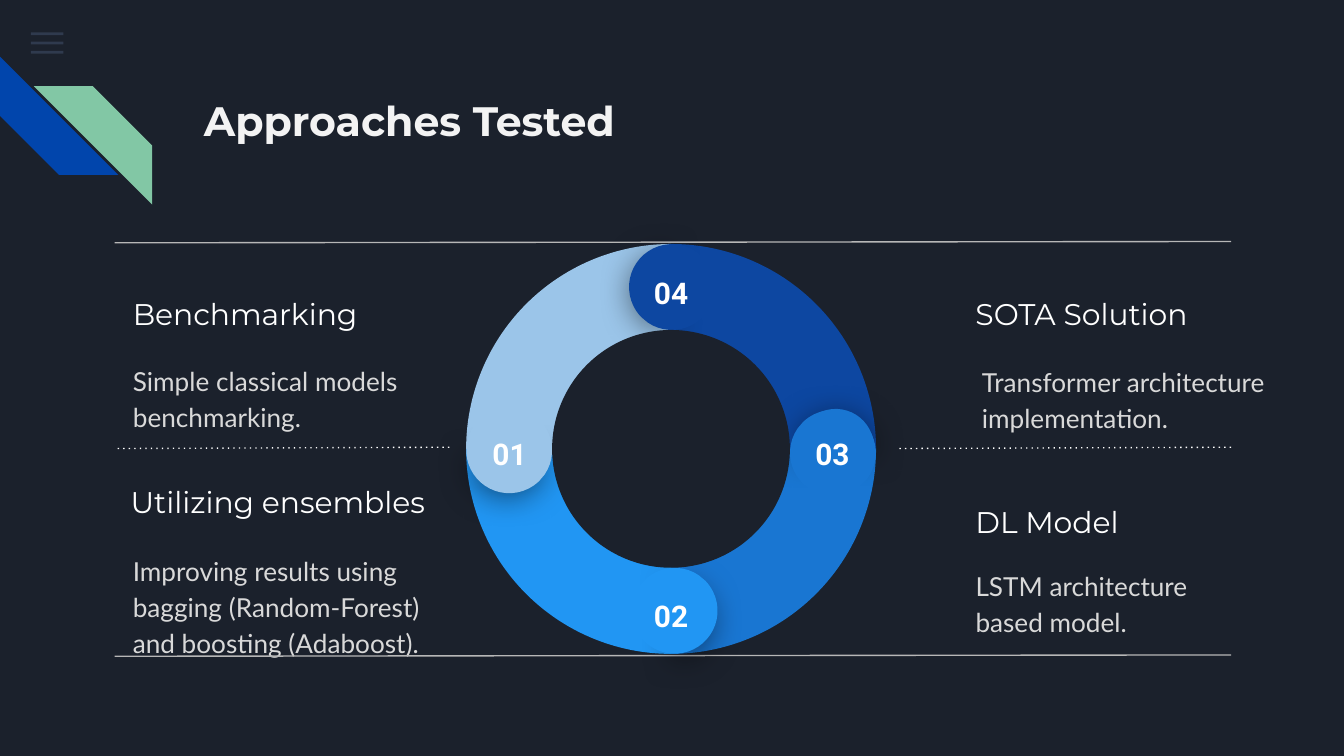
import math

from lxml import etree
from pptx import Presentation
from pptx import util as u
from pptx.dml.color import RGBColor
from pptx.enum import shapes, text
from pptx.oxml.ns import qn

COLOURS = {
    "night": "1B212C", "menu": "55688B", "royal": "0145AC", "mint": "82C7A5",
    "title": "F3F3F3", "white": "FFFFFF", "body": "D9D9D9", "rule": "B7B7B7",
    "pale": "9BC5E9", "bright": "2196F3", "medium": "1976D2", "navy": "0D47A1",
    "black": "000000",
}
KIND = shapes.MSO_SHAPE
CENTRE_X, CENTRE_Y = 359.5, 240.5


def colour(name):
    return RGBColor.from_string(COLOURS[name])


def centred(x, y, width, height):
    return x - width / 2, y - height / 2, width, height


class SlideBuilder:
    inset = 7.2

    def __init__(self, page):
        self.page = page
        page.background.fill.solid()
        page.background.fill.fore_color.rgb = colour("night")

    def shape(self, kind, place, fill, rotation=0, adjust=(), flip=False):
        shape = self.page.shapes.add_shape(kind, *map(u.Pt, place))
        shape.shadow.inherit = False
        shape.fill.solid()
        shape.fill.fore_color.rgb = colour(fill)
        shape.line.fill.background()
        shape.rotation = rotation % 360
        for index, value in enumerate(adjust):
            shape.adjustments[index] = value
        if flip:
            shape._element.spPr.find(qn("a:xfrm")).set("flipH", "1")
        return shape

    def fade(self, shape, percent):
        tint = shape._element.spPr.find(qn("a:solidFill"))[0]
        etree.SubElement(tint, qn("a:alpha"), val=str(percent * 1000))

    def cast_shadow(self, shape, percent, blur, distance):
        effects = shape._element.spPr.find(qn("a:effectLst"))
        shadow = etree.SubElement(
            effects, qn("a:outerShdw"), blurRad=str(u.Pt(blur)),
            dist=str(u.Pt(distance)), dir="5400000", algn="bl", rotWithShape="0")
        tint = etree.SubElement(shadow, qn("a:srgbClr"), val=COLOURS["black"])
        etree.SubElement(tint, qn("a:alpha"), val=str(percent * 1000))

    def line(self, start, end, tint, dotted=False):
        line = self.page.shapes.add_connector(
            shapes.MSO_CONNECTOR.STRAIGHT, *map(u.Pt, start + end))
        line.line.width = u.Pt(0.75)
        line.line.color.rgb = colour(tint)
        properties = line._element.spPr
        if dotted:
            outline = properties.find(qn("a:ln"))
            etree.SubElement(outline, qn("a:prstDash"), val="dot")
        etree.SubElement(properties, qn("a:effectLst"))

    def text(self, words, place, font, size, tint, bold=False,
             anchor=text.MSO_ANCHOR.TOP, align=text.PP_ALIGN.LEFT):
        box = self.page.shapes.add_textbox(*map(u.Pt, place))
        frame = box.text_frame
        frame.word_wrap = True
        frame.vertical_anchor = anchor
        frame.margin_left = frame.margin_right = u.Pt(self.inset)
        frame.margin_top = frame.margin_bottom = u.Pt(self.inset)
        frame.text = words
        para = frame.paragraphs[0]
        para.alignment = align
        for span in para.runs:
            span.font.name = font
            span.font.size = u.Pt(size)
            span.font.bold = bold
            span.font.color.rgb = colour(tint)
        return para

    def heading(self, words, left, top, width):
        self.text(words, (left, top, width, 35.3), "Montserrat", 16, "white",
                  anchor=text.MSO_ANCHOR.MIDDLE)

    def body(self, words, left, top, width):
        para = self.text(words, (left, top, width, 54.7), "Lato", 14, "body",
                         anchor=text.MSO_ANCHOR.MIDDLE)
        para.line_spacing = 1.15
        para.space_after = u.Pt(16)

    def ring_cap(self, number, fill, turn, shift):
        angle = math.radians(turn)

        def spot(radius, offset):
            return (CENTRE_X - radius * math.cos(angle) - offset * math.sin(angle),
                    CENTRE_Y - radius * math.sin(angle) + offset * math.cos(angle))

        under = self.shape(KIND.PIE, centred(*spot(88.2, 1), 41, 41), fill,
                           turn + 39.5, (189.54, 83.81))
        self.cast_shadow(under, 55, 18, 4)
        self.shape(KIND.CHORD, centred(*spot(86.7, shift), 46, 46), fill,
                   turn + 4.1, (25.01, 18.12))
        x, y = spot(86.5, 0)
        self.text(number, centred(x, y - 3.8, 40.3, 20.9), "Roboto", 16, "white",
                  bold=True, align=text.PP_ALIGN.CENTER)


def main():
    deck = Presentation()
    deck.slide_width, deck.slide_height = u.Pt(720), u.Pt(405)
    slide = SlideBuilder(deck.slides.add_slide(deck.slide_layouts[6]))

    for row in range(3):
        bar = slide.shape(KIND.RECTANGLE, (16.6, 17.4 + 4.95 * row, 17.4, 1.5), "menu")
        slide.fade(bar, 36)
    slide.shape(KIND.DIAGONAL_STRIPE, (0, 30.3, 63.4, 63.4), "royal", 270, (0.5,))
    slide.shape(KIND.DIAGONAL_STRIPE, (18.1, 46.2, 63.4, 63.4), "mint",
                adjust=(0.5,), flip=True)
    slide.text("Approaches Tested", (102.2, 43.9, 278, 51.8), "Montserrat", 22,
               "title", bold=True)

    for words, left, top, width in (
            ("Benchmarking", 64.1, 150.5, 146.2),
            ("Utilizing ensembles", 62.9, 251.3, 179.3),
            ("SOTA Solution", 515.5, 150.5, 146.2),
            ("DL Model", 515.5, 261.7, 146.2)):
        slide.heading(words, left, top, width)
    for words, left, top, width in (
            ("Simple classical models benchmarking.", 64.1, 185.2, 157),
            ("Improving results using bagging (Random-Forest) and boosting (Adaboost).",
             64.1, 296.4, 188),
            ("Transformer architecture implementation.", 518.9, 185.7, 170.6),
            ("LSTM architecture based model.", 515.5, 295.2, 157)):
        slide.body(words, left, top, width)

    for left, right, y, tint, dotted in (
            (61.4, 659.5, 129.4, "rule", False),
            (61.4, 240.7, 239.6, "white", True),
            (480.2, 659.5, 239.6, "white", True),
            (61.4, 659.5, 350.9, "rule", False)):
        slide.line((right, y), (left, y + 0.7), tint, dotted)

    steps = (("01", "pale", 0, 0.7), ("02", "bright", -90, 1.9),
             ("03", "medium", -180, -2.1), ("04", "navy", -270, -0.5))
    for number, fill, turn, shift in steps:
        slide.shape(KIND.PIE, centred(CENTRE_X, CENTRE_Y, 219.6, 219.6), fill,
                    turn, (107.96, 162.01))
    for step in steps:
        slide.ring_cap(*step)
    slide.shape(KIND.OVAL, centred(CENTRE_X, CENTRE_Y, 127.4, 127.4), "night")

    deck.save("out.pptx")


if __name__ == "__main__":
    main()
